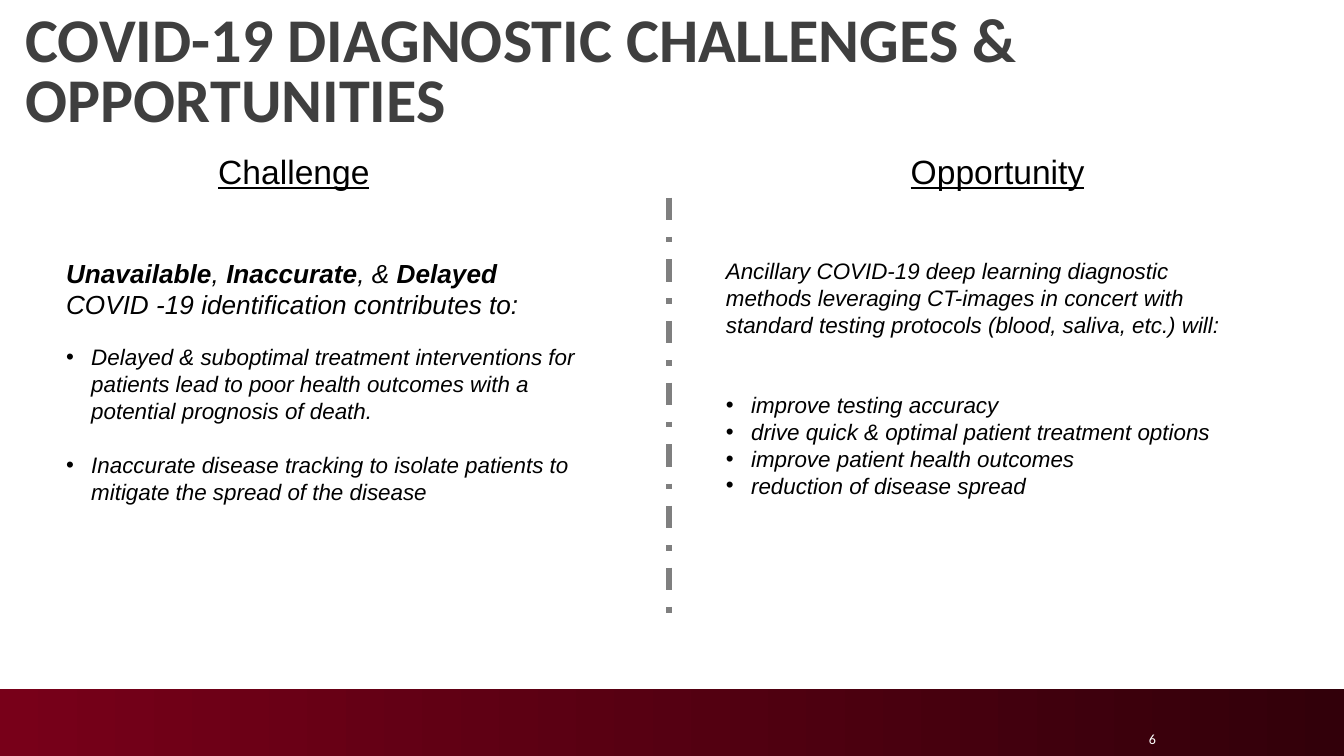
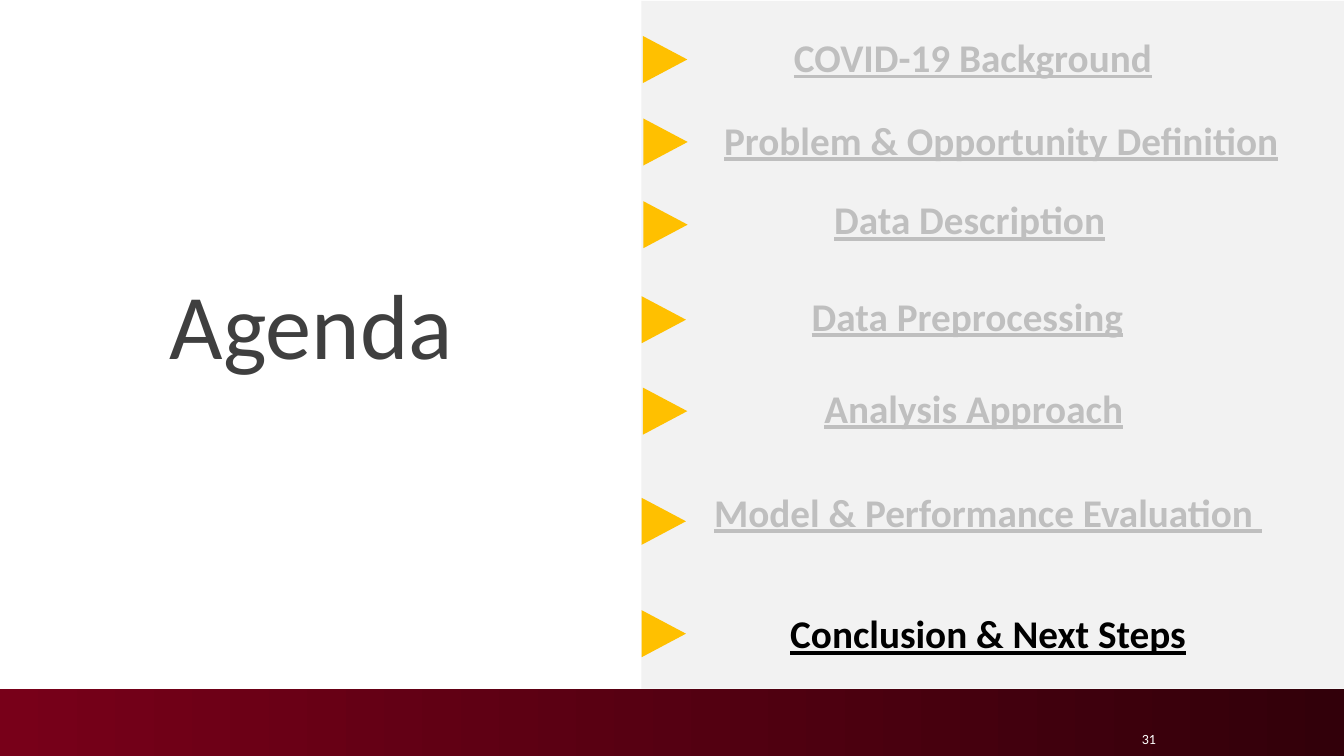
from dataclasses import dataclass

from lxml import etree
from pptx import Presentation
from pptx import util as u
from pptx.dml.color import RGBColor
from pptx.enum import dml, shapes, text
from pptx.oxml.ns import qn

Pt = u.Pt


@dataclass(frozen=True)
class Theme:
    heading_font: str = "Calibri"
    body_font: str = "Arial"
    dark: str = "3F3F3F"
    black: str = "000000"
    white: str = "FFFFFF"
    muted: str = "BFBFBF"
    panel: str = "F2F2F2"
    divider: str = "7F7F7F"
    marker: str = "FFC000"
    band: tuple = ("780019", "32000A")
    title: float = 33.3
    agenda_title: float = 49.5
    agenda_item: float = 21
    column_head: float = 18
    lead: float = 14
    body: float = 12
    page: float = 7.5


THEME = Theme()
WIDTH, HEIGHT = 720, 405
BAND_TOP = 369
PANEL_LEFT = 343.6
TITLE_INSETS = (5, 3, 5, 3)
BODY_INSETS = (7.2, 3.6, 7.2, 3.6)

# Content: paragraphs are (runs, size, bulleted, space before); runs are (text, bold)
TITLE = "COVID-19 DIAGNOSTIC CHALLENGES & OPPORTUNITIES"
COLUMNS = [
    {
        "heading": "Challenge", "heading_left": 16.3, "body_left": 28.3, "body_height": 177.84,
        "paragraphs": [
            ([("Unavailable", True), (", ", False), ("Inaccurate", True), (", & ", False),
              ("Delayed", True)], THEME.lead, False, 0),
            ([("COVID -19 identification contributes to:", False)], THEME.lead, False, 0),
            ([("Delayed & suboptimal treatment interventions for patients lead to poor health "
               "outcomes with a potential prognosis of death.", False)], THEME.body, True, 12.5),
            ([("Inaccurate disease tracking to isolate patients to mitigate the spread of "
               "the disease", False)], THEME.body, True, 14.5),
        ],
    },
    {
        "heading": "Opportunity", "heading_left": 393.3, "body_left": 381.8, "body_height": 174.24,
        "paragraphs": [
            ([("Ancillary COVID-19 deep learning diagnostic methods leveraging CT-images in "
               "concert with standard testing protocols (blood, saliva, etc.) will:", False)],
             THEME.body, False, 0),
            ([("improve testing accuracy", False)], THEME.body, True, 28.5),
            ([("drive quick & optimal patient treatment options", False)], THEME.body, True, 0),
            ([("improve patient health outcomes", False)], THEME.body, True, 0),
            ([("reduction of disease spread", False)], THEME.body, True, 0),
        ],
    },
]
# Topic, marker left and top, text left, top and width
AGENDA = [
    ("COVID-19 Background", 343.7, 20, 393.1, 14.4, 256.3),
    ("Problem & Opportunity Definition", 343.9, 64.2, 367.9, 58.6, 337),
    ("Data Description", 343.9, 108.5, 360, 101.2, 319),
    ("Data Preprocessing", 343, 159.4, 358.8, 152.9, 319),
    ("Analysis Approach", 343.7, 208.4, 362.2, 202.3, 319),
    ("Model & Performance Evaluation ", 343, 267.4, 341.1, 258, 376.6),
    ("Conclusion & Next Steps", 343, 327.6, 341.1, 323, 376.6),
]
CURRENT_TOPIC = "Conclusion & Next Steps"


# Helpers
def apply(target, values):
    for name, value in values.items():
        setattr(target, name, value)


def add_text_box(slide, box, insets=BODY_INSETS, anchor=text.MSO_ANCHOR.TOP):
    frame = slide.shapes.add_textbox(*map(Pt, box)).text_frame
    left, top, right, bottom = map(Pt, insets)
    apply(frame, {"word_wrap": True, "vertical_anchor": anchor, "margin_left": left,
                  "margin_top": top, "margin_right": right, "margin_bottom": bottom})
    return frame


def add_run(paragraph, words, size, color, **font_values):
    run = paragraph.add_run()
    run.text = words
    apply(run.font, {"size": Pt(size), **font_values})
    run.font.color.rgb = RGBColor.from_string(color)


def add_line_of_text(slide, box, words, size, color, alignment=text.PP_ALIGN.CENTER,
                     spacing=1.0, insets=BODY_INSETS, anchor=text.MSO_ANCHOR.TOP, **font_values):
    paragraph = add_text_box(slide, box, insets, anchor).paragraphs[0]
    apply(paragraph, {"alignment": alignment, "line_spacing": spacing})
    add_run(paragraph, words, size, color, **font_values)


def add_bullet(paragraph):
    properties = paragraph._p.get_or_add_pPr()
    indent = Pt(13.5)
    properties.set("marL", str(indent))
    properties.set("indent", str(-indent))
    etree.SubElement(properties, qn("a:buFont"), typeface=THEME.body_font)
    etree.SubElement(properties, qn("a:buChar"), char="•")


def add_plain_shape(slide, kind, box, color=None):
    shape = slide.shapes.add_shape(kind, *map(Pt, box))
    shape.shadow.inherit = False
    shape.line.fill.background()
    if color:
        shape.fill.solid()
        shape.fill.fore_color.rgb = RGBColor.from_string(color)
    return shape


def new_slide(presentation, page_number):
    """Blank slide with the shared footer band and page number."""
    slide = presentation.slides.add_slide(presentation.slide_layouts[6])
    band = add_plain_shape(slide, shapes.MSO_SHAPE.RECTANGLE,
                           (0, BAND_TOP, WIDTH, HEIGHT - BAND_TOP))
    band.fill.gradient()
    band.fill.gradient_angle = 0
    for stop, color in zip(band.fill.gradient_stops, THEME.band):
        stop.color.rgb = RGBColor.from_string(color)
    add_line_of_text(slide, (603.36, 380.88, 23.04, 21.6), str(page_number), THEME.page,
                     THEME.white, text.PP_ALIGN.RIGHT, insets=(7.2, 3.6, 7.2, 2),
                     anchor=text.MSO_ANCHOR.BOTTOM, name=THEME.heading_font)
    return slide


# Slides
def build_challenges(presentation):
    slide = new_slide(presentation, 6)
    add_line_of_text(slide, (8.64, 3.1, 699.84, 73.44), TITLE, THEME.title, THEME.dark,
                     text.PP_ALIGN.LEFT, 0.8, TITLE_INSETS, text.MSO_ANCHOR.MIDDLE,
                     name=THEME.heading_font, bold=True)

    # Dashed divider
    divider = slide.shapes.add_connector(shapes.MSO_CONNECTOR.STRAIGHT,
                                         *map(Pt, (358.56, 105.84, 358.56, 329.76)))
    apply(divider.line, {"width": Pt(3), "dash_style": dml.MSO_LINE.DASH_DOT})
    divider.line.color.rgb = RGBColor.from_string(THEME.divider)
    etree.SubElement(divider._element.spPr, qn("a:effectLst"))

    # Two columns
    for column in COLUMNS:
        add_line_of_text(slide, (column["heading_left"], 77.2, 282.24, 28.8),
                         column["heading"], THEME.column_head, THEME.black,
                         name=THEME.body_font, underline=True)
        frame = add_text_box(slide, (column["body_left"], 134.3, 293.76, column["body_height"]))
        for index, (runs, size, bulleted, before) in enumerate(column["paragraphs"]):
            paragraph = frame.add_paragraph() if index else frame.paragraphs[0]
            paragraph.space_before = Pt(before)
            if bulleted:
                add_bullet(paragraph)
            for words, bold in runs:
                add_run(paragraph, words, size, THEME.black, name=THEME.body_font,
                        bold=bold, italic=True)


def build_agenda(presentation):
    slide = new_slide(presentation, 31)
    add_plain_shape(slide, shapes.MSO_SHAPE.RECTANGLE,
                    (PANEL_LEFT, 0.5, WIDTH - PANEL_LEFT, BAND_TOP - 0.5), THEME.panel)
    add_line_of_text(slide, (0, 71.28, 333.8, 210.24), "Agenda", THEME.agenda_title, THEME.dark,
                     spacing=0.9, insets=TITLE_INSETS, anchor=text.MSO_ANCHOR.MIDDLE,
                     name=THEME.heading_font)

    # Topics with arrow markers
    for topic, marker_left, marker_top, left, top, width in AGENDA:
        marker = add_plain_shape(slide, shapes.MSO_SHAPE.ISOSCELES_TRIANGLE,
                                 (marker_left, marker_top, 25.2, 23.76), THEME.marker)
        marker.rotation = 90
        color = THEME.black if topic == CURRENT_TOPIC else THEME.muted
        add_line_of_text(slide, (left, top, width, 32.4), topic, THEME.agenda_item, color,
                         name=THEME.heading_font, bold=True, underline=True)


def main():
    presentation = Presentation()
    apply(presentation, {"slide_width": Pt(WIDTH), "slide_height": Pt(HEIGHT)})
    build_challenges(presentation)
    build_agenda(presentation)
    presentation.save("out.pptx")


if __name__ == "__main__":
    main()
